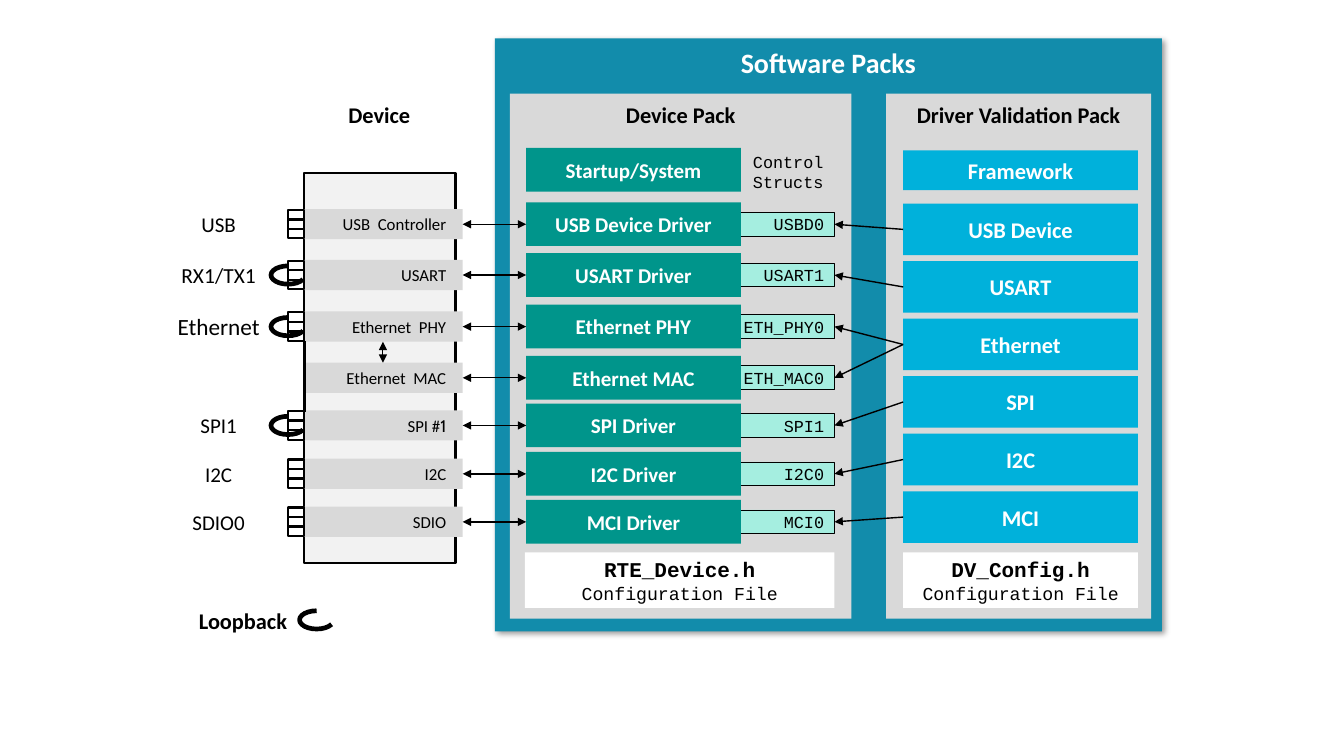
from lxml import etree
from pptx import Presentation
from pptx.dml.color import RGBColor
from pptx.enum.shapes import MSO_CONNECTOR, MSO_SHAPE
from pptx.enum.text import MSO_ANCHOR, MSO_AUTO_SIZE, PP_ALIGN
from pptx.oxml.ns import qn
from pptx.util import Cm, Pt

RECTANGLE, ARC = MSO_SHAPE.RECTANGLE, MSO_SHAPE.ARC
STRAIGHT = MSO_CONNECTOR.STRAIGHT
TOP, MIDDLE = MSO_ANCHOR.TOP, MSO_ANCHOR.MIDDLE
CENTER, RIGHT = PP_ALIGN.CENTER, PP_ALIGN.RIGHT
NO_FIT = MSO_AUTO_SIZE.NONE

ROWS = [
    ("USB", 15, "USB  Controller", "USB Device Driver", "USBD0", 5.65),
    ("RX1/TX1", 15.3, "USART", "USART Driver", "USART1", 6.93),
    ("Ethernet", 16.6, "Ethernet  PHY", "Ethernet PHY", "ETH_PHY0", 8.23),
    (None, 15, "Ethernet  MAC", "Ethernet MAC", "ETH_MAC0", 9.52),
    ("SPI1", 15, "SPI #1", "SPI Driver", "SPI1", 10.72),
    ("I2C", 15, "I2C", "I2C Driver", "I2C0", 11.94),
    ("SDIO0", 15, "SDIO", "MCI Driver", "MCI0", 13.15),
]
LOOPBACKS = ("RX1/TX1", "Ethernet", "SPI1")
VALIDATION_TESTS = {
    "USB Device": ["USBD0"],
    "USART": ["USART1"],
    "Ethernet": ["ETH_PHY0", "ETH_MAC0"],
    "SPI": ["SPI1"],
    "I2C": ["I2C0"],
    "MCI": ["MCI0"],
}
NARROW_INSETS = (0.25, 0.13, 0.25, 0.13)
BAR_INSETS = (0.25, 0.13, 0.41, 0.13)
WIDE_INSETS = (0.33, 0.18, 0.33, 0.18)


def color(value):
    return RGBColor.from_string(value)


class Diagram:
    font = "Calibri"
    code_font = "Courier New"
    ink, paper, grey = "000000", "FFFFFF", "D9D9D9"
    teal, green, mint, cyan = "128CAB", "00958B", "A5EEE0", "00B1DB"

    def __init__(self, page):
        self.page = page

    def set_text(self, shape, text, size, ink=None, bold=False, font=None,
                 align=CENTER, anchor=MIDDLE, insets=WIDE_INSETS):
        frame = shape.text_frame
        frame.text = text
        frame.word_wrap = True
        frame.auto_size = NO_FIT
        frame.vertical_anchor = anchor
        (frame.margin_left, frame.margin_top,
         frame.margin_right, frame.margin_bottom) = map(Cm, insets)
        for para in frame.paragraphs:
            para.alignment = align
            for span in para.runs:
                span.font.name = font or self.font
                span.font.size = Pt(size)
                span.font.bold = bold
                span.font.color.rgb = color(ink or self.ink)

    def title(self, text, left, top, width, height):
        title = self.page.shapes.title
        title.left, title.top = Cm(left), Cm(top)
        title.width, title.height = Cm(width), Cm(height)
        title.fill.solid()
        title.fill.fore_color.rgb = color(self.teal)
        self.set_text(title, text, 20, self.paper, True, anchor=TOP)
        effects = etree.SubElement(title._element.spPr, qn("a:effectLst"))
        shadow = etree.SubElement(effects, qn("a:outerShdw"), blurRad="50800",
                                  dist="38100", dir="2700000", algn="tl")
        tint = etree.SubElement(shadow, qn("a:srgbClr"), val=self.ink)
        etree.SubElement(tint, qn("a:alpha"), val="40000")

    def box(self, left, top, width, height, fill=None, line=0, kind=RECTANGLE):
        box = self.page.shapes.add_shape(kind, Cm(left), Cm(top), Cm(width), Cm(height))
        box.shadow.inherit = False
        if fill:
            box.fill.solid()
            box.fill.fore_color.rgb = color(fill)
        else:
            box.fill.background()
        if line:
            box.line.width = Pt(line)
            box.line.color.rgb = color(self.ink)
        else:
            box.line.fill.background()
        return box

    def label(self, text, left, top, width, height, size, **style):
        label = self.page.shapes.add_textbox(Cm(left), Cm(top), Cm(width), Cm(height))
        self.set_text(label, text, size, **style)

    def line(self, start, end, width=1, ends=()):
        line = self.page.shapes.add_connector(STRAIGHT, *map(Cm, start + end))
        line.line.width = Pt(width)
        line.line.color.rgb = color(self.ink)
        properties = line._element.spPr
        for end_name in ends:
            etree.SubElement(properties.find(qn("a:ln")), qn("a:" + end_name), type="triangle")
        etree.SubElement(properties, qn("a:effectLst"))

    def arrow(self, start, end):
        self.line(start, end, 1, ["tailEnd"])

    def double_arrow(self, start, end, width=1):
        self.line(start, end, width, ["headEnd", "tailEnd"])

    def loopback(self, left, middle):
        arc = self.box(left, middle - 0.43, 0.46, 0.86, line=3.35, kind=ARC)
        arc.adjustments[0], arc.adjustments[1] = 63.81, 0
        arc.rotation = 270

    def port(self, middle):
        left, width, height = 7.26, 0.41, 0.72
        self.box(left, middle - height / 2, width, height, line=1.5)
        for offset in (-height / 6, height / 6):
            self.line((left, middle + offset), (left + width, middle + offset), 1.75)

    def pack(self, text, left, width):
        panel = self.box(left, 2.36, width, 13.23, self.grey)
        self.set_text(panel, text, 16, bold=True, anchor=TOP)

    def block(self, text, left, top, width, height, fill, size):
        block = self.box(left, top, width, height, fill)
        self.set_text(block, text, size, self.paper, True)

    def config_file(self, name, left, width):
        box = self.box(left, 13.92, width, 1.4, self.paper)
        self.set_text(box, name + "\nConfiguration File", 13, font=self.code_font)
        heading = box.text_frame.paragraphs[0].runs[0].font
        heading.size, heading.bold = Pt(15), True

    def controller(self, text, middle):
        bar = self.box(7.67, middle - 0.38, 3.99, 0.76, self.grey)
        self.set_text(bar, text, 12, align=RIGHT, insets=BAR_INSETS)
        if text.endswith("#1"):
            para = bar.text_frame.paragraphs[0]
            span = para.runs[0]
            span.text = text[:-1]
            digit = para.add_run()
            digit.text = text[-1]
            digit.font.name, digit.font.size = "Cabin", span.font.size
            digit.font.color.rgb = color(self.ink)

    def control_struct(self, text, middle):
        box = self.box(18.42, middle - 0.3, 2.6, 0.6, self.mint, 0.5)
        self.set_text(box, text, 12, font=self.code_font, align=RIGHT, insets=NARROW_INSETS)


def main():
    deck = Presentation()
    deck.slide_width, deck.slide_height = Cm(33.87), Cm(19.05)
    diagram = Diagram(deck.slides.add_slide(deck.slide_layouts[5]))

    diagram.title("Software Packs", 12.47, 0.97, 16.81, 14.94)
    diagram.box(7.67, 4.37, 3.81, 9.83, "F2F2F2", 1.5)
    diagram.pack("Driver Validation Pack", 22.33, 6.68)
    diagram.pack("Device Pack", 12.85, 8.61)
    diagram.label("Device", 7.06, 2.29, 5, 1.19, 16, bold=True)
    diagram.label("Control\nStructs", 18.57, 3.73, 2.59, 1.19, 12,
                  font=diagram.code_font, insets=NARROW_INSETS)
    diagram.block("Startup/System", 13.26, 3.73, 5.41, 1.1, diagram.green, 15)

    struct_middles = {}
    for signal, size, controller, driver, struct, middle in ROWS:
        struct_middles[struct] = middle
        diagram.controller(controller, middle)
        diagram.control_struct(struct, middle)
        diagram.block(driver, 13.26, middle - 0.55, 5.41, 1.1, diagram.green, 15)
        diagram.double_arrow((13.26, middle), (11.66, middle))
        if signal:
            diagram.port(middle)
            diagram.label(signal, 4.42, middle - 0.37, 2.18, 0.74, size, insets=(0, 0, 0, 0))
        if signal in LOOPBACKS:
            diagram.loopback(7.03, middle)

    diagram.double_arrow((9.65, 9.14), (9.65, 8.61), 0.75)
    diagram.line((7.67, 8.59), (7.67, 10.39), 1.75)

    diagram.block("Framework", 22.76, 3.79, 5.92, 1, diagram.cyan, 16)
    for index, (test, structs) in enumerate(VALIDATION_TESTS.items()):
        top = 5.13 + 1.45 * index
        diagram.block(test, 22.76, top, 5.92, 1.3, diagram.cyan, 16)
        for struct in structs:
            diagram.arrow((22.76, top + 0.65), (21.03, struct_middles[struct]))

    diagram.config_file("RTE_Device.h", 13.23, 7.8)
    diagram.config_file("DV_Config.h", 22.76, 5.92)
    diagram.label("Loopback", 4.45, 15.04, 3.35, 1.19, 16, bold=True)
    diagram.loopback(7.75, 15.62)
    deck.save("out.pptx")


if __name__ == "__main__":
    main()
